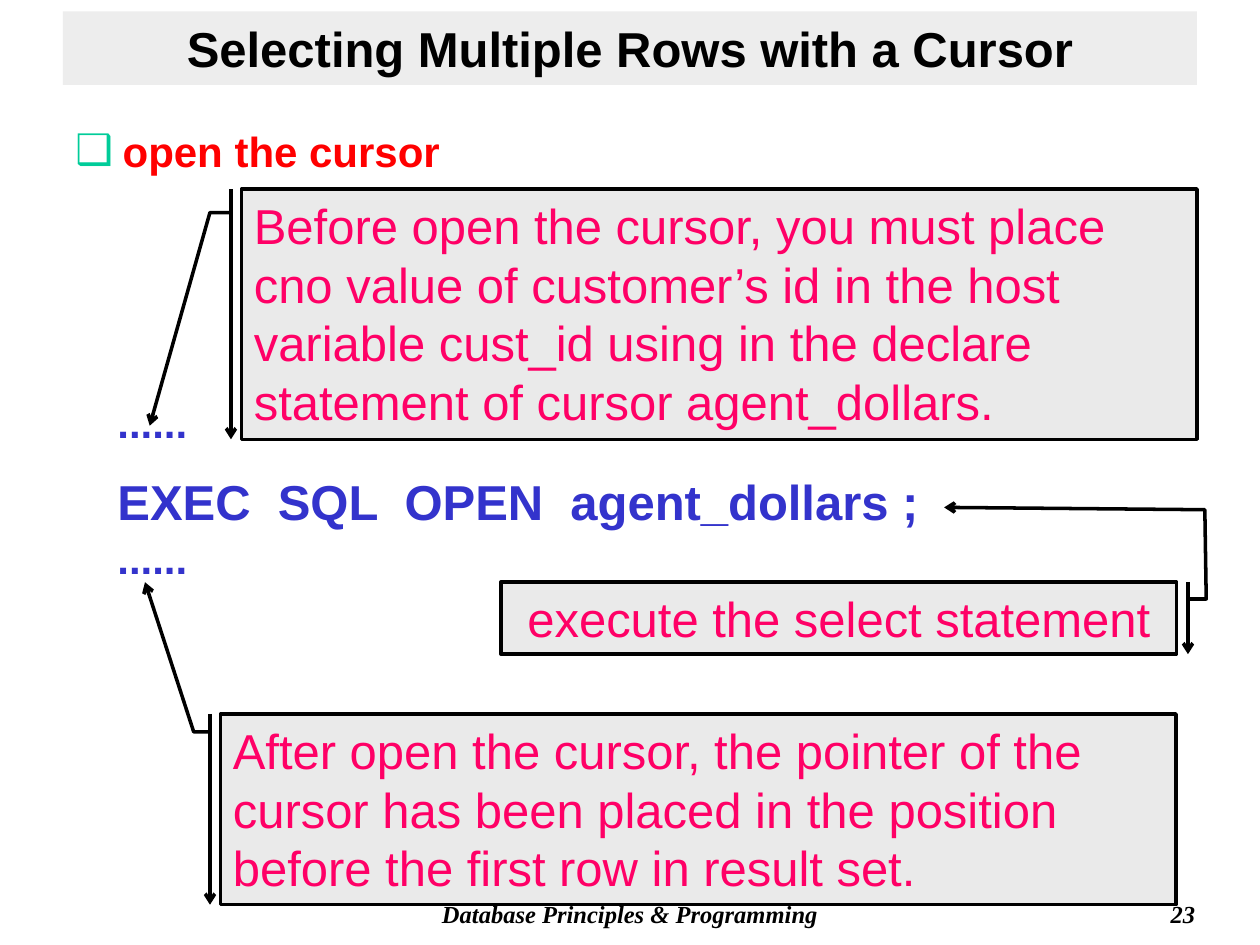
"""Builds the slide on opening a cursor, with its three callouts."""
from lxml.etree import SubElement
from pptx import Presentation
from pptx.dml.color import RGBColor
from pptx.enum.shapes import MSO_SHAPE
from pptx.enum.text import MSO_ANCHOR, PP_ALIGN
from pptx.oxml.ns import qn
from pptx.util import Pt


def color(code):
    return RGBColor.from_string(code)


def write(frame, text, size=28, font="Arial", ink="000000", bold=False, italic=False,
          align=PP_ALIGN.LEFT, anchor=MSO_ANCHOR.TOP, before=0, spacing=1.0, bullet=None):
    frame.word_wrap = True
    frame.vertical_anchor = anchor
    paragraph = frame.add_paragraph() if frame.text else frame.paragraphs[0]
    paragraph.alignment = align
    paragraph.space_before = Pt(before)
    paragraph.line_spacing = spacing
    if bullet:
        mark, mark_ink = bullet
        properties = paragraph._p.get_or_add_pPr()
        properties.set("marL", str(Pt(27)))
        properties.set("indent", str(Pt(-27)))
        SubElement(SubElement(properties, qn("a:buClr")), qn("a:srgbClr"), val=mark_ink)
        SubElement(properties, qn("a:buFont"), typeface="Arial")
        SubElement(properties, qn("a:buChar"), char=mark)
    run = paragraph.add_run()
    run.text = text
    run.font.size = Pt(size)
    run.font.name = font
    run.font.bold = bold
    run.font.italic = italic
    run.font.color.rgb = color(ink)


prs = Presentation()
prs.slide_width, prs.slide_height = Pt(720), Pt(540)
slide = prs.slides.add_slide(prs.slide_layouts[6])
shapes = slide.shapes

footers = [
    ("Database Principles & Programming", 204, 312, PP_ALIGN.CENTER),
    ("23", 540, 150, PP_ALIGN.RIGHT),
]
for text, left, width, align in footers:
    footer = shapes.add_textbox(Pt(left), Pt(510), Pt(width), Pt(24))
    write(footer.text_frame, text, size=14, font="Times New Roman", bold=True, italic=True,
          align=align)

title = shapes.add_shape(MSO_SHAPE.RECTANGLE, Pt(36), Pt(6.5), Pt(648), Pt(42))
title.shadow.inherit = False
title.fill.solid()
title.fill.fore_color.rgb = color("DDDDDD")
title_tint = title.fill._xPr.find(qn("a:solidFill"))[0]
SubElement(title_tint, qn("a:alpha"), val="50000")
title.line.fill.background()
write(title.text_frame, "Selecting Multiple Rows with a Cursor", bold=True,
      align=PP_ALIGN.CENTER, anchor=MSO_ANCHOR.MIDDLE)

topic = shapes.add_textbox(Pt(36), Pt(68), Pt(648), Pt(412))
write(topic.text_frame, "open the cursor", size=24, ink="FF0000", bold=True,
      bullet=("❑", "00CC99"))

statement = shapes.add_textbox(Pt(60), Pt(226), Pt(600), Pt(110))
statement_lines = [("......", 24, 0), ("EXEC  SQL  OPEN  agent_dollars ;", 28, 18), ("......", 24, 4)]
for text, size, before in statement_lines:
    write(statement.text_frame, text, size=size, ink="3333CC", bold=True, before=before,
          spacing=0.9)

two_part = MSO_SHAPE.LINE_CALLOUT_2_BORDER_AND_ACCENT_BAR
three_part = MSO_SHAPE.LINE_CALLOUT_3_BORDER_AND_ACCENT_BAR
callouts = [
    (three_part, (286.3, 332.5, 386, 41.3), PP_ALIGN.CENTER,
     (0.237, 1.017, 0.237, 1.044, -0.999, 1.042, -1.031, 0.656),
     "execute the select statement"),
    (two_part, (126, 408, 546, 109), PP_ALIGN.LEFT,
     (0.094, -0.011, 0.094, -0.028, -0.691, -0.079),
     "After open the cursor, the pointer of the cursor has been placed in the position "
     "before the first row in result set."),
    (two_part, (138, 108, 546, 143), PP_ALIGN.LEFT,
     (0.094, -0.011, 0.094, -0.033, 0.946, -0.096),
     "Before open the cursor, you must place cno value of customer’s id in the host "
     "variable cust_id using in the declare statement of cursor agent_dollars."),
]
for kind, box, align, leader, text in callouts:
    callout = shapes.add_shape(kind, *map(Pt, box))
    callout.shadow.inherit = False
    for index, value in enumerate(leader):
        callout.adjustments[index] = value
    callout.fill.solid()
    callout.fill.fore_color.rgb = color("EAEAEA")
    callout.line.color.rgb = color("000000")
    callout.line.width = Pt(2)
    SubElement(callout.line._get_or_add_ln(), qn("a:tailEnd"), type="arrow")
    write(callout.text_frame, text, ink="FF0066", align=align)

prs.save("out.pptx")
